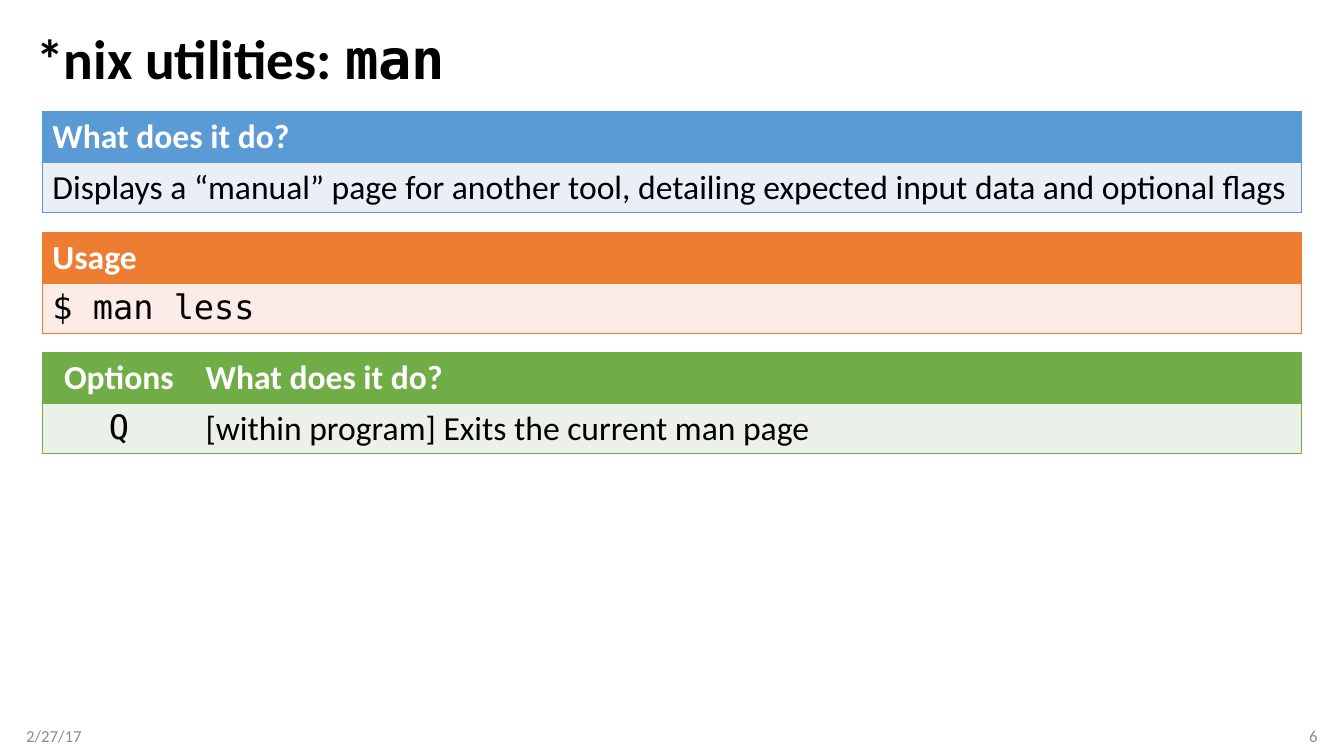
"""Build the slide that explains the man utility."""
from lxml.etree import SubElement
from pptx import Presentation
from pptx.dml.color import RGBColor
from pptx.enum.text import MSO_ANCHOR, MSO_AUTO_SIZE, PP_ALIGN
from pptx.oxml.ns import qn
from pptx.util import Pt

BLACK = RGBColor(0x00, 0x00, 0x00)
WHITE = RGBColor(0xFF, 0xFF, 0xFF)
GRAY = RGBColor(0x8C, 0x8C, 0x8C)
BLUE = RGBColor(0x5B, 0x9B, 0xD5)
PALE_BLUE = RGBColor(0xEA, 0xEF, 0xF7)
ORANGE = RGBColor(0xED, 0x7D, 0x31)
PALE_ORANGE = RGBColor(0xFC, 0xEC, 0xE8)
GREEN = RGBColor(0x70, 0xAD, 0x47)
PALE_GREEN = RGBColor(0xEB, 0xF1, 0xE9)

SANS = "Calibri"
MONO = "DejaVu Sans Mono"
SLIDE_WIDTH, SLIDE_HEIGHT = 960, 540
MARGIN = 18.72
TABLE_LEFT = 30.24
ROW_HEIGHT = 29.5


class SlideBuilder:
    def __init__(self, slide):
        self.slide = slide

    def add_run(self, paragraph, text, size, color, font=SANS, bold=False):
        run = paragraph.add_run()
        run.text = text
        run.font.name = font
        run.font.size = Pt(size)
        run.font.bold = bold
        run.font.color.rgb = color

    def add_title(self, parts):
        title = self.slide.shapes.title
        title.left, title.top = Pt(MARGIN), Pt(18)
        title.width, title.height = Pt(SLIDE_WIDTH - 2 * MARGIN), Pt(52)
        frame = title.text_frame
        frame.auto_size = MSO_AUTO_SIZE.NONE
        frame.vertical_anchor = MSO_ANCHOR.MIDDLE
        paragraph = frame.paragraphs[0]
        paragraph.alignment = PP_ALIGN.LEFT
        paragraph.line_spacing = 0.9
        for text, font in parts:
            self.add_run(paragraph, text, 39.6, BLACK, font, bold=True)

    def add_footer(self, text, left, alignment):
        shape = self.slide.shapes.add_textbox(Pt(left), Pt(511), Pt(216), Pt(29))
        frame = shape.text_frame
        frame.word_wrap = True
        frame.vertical_anchor = MSO_ANCHOR.MIDDLE
        frame.margin_left = Pt(0 if alignment == PP_ALIGN.LEFT else 7.2)
        frame.margin_right = Pt(0 if alignment == PP_ALIGN.RIGHT else 7.2)
        paragraph = frame.paragraphs[0]
        paragraph.alignment = alignment
        self.add_run(paragraph, text, 12, GRAY)

    def set_borders(self, cell, color, visible_edges):
        properties = cell._tc.get_or_add_tcPr()
        for position, edge in enumerate("LRTB"):
            line = SubElement(properties, qn(f"a:ln{edge}"), w=str(Pt(1)))
            if edge in visible_edges:
                fill = SubElement(line, qn("a:solidFill"))
                SubElement(fill, qn("a:srgbClr"), val=str(color))
            else:
                SubElement(line, qn("a:noFill"))
            properties.insert(position, line)

    def add_table(self, top, widths, headings, entries, color, pale_color):
        frame = self.slide.shapes.add_table(
            2, len(widths), Pt(TABLE_LEFT), Pt(top), Pt(sum(widths)), Pt(2 * ROW_HEIGHT))
        table = frame.table
        for column, width in zip(table.columns, widths):
            column.width = Pt(width)
        header_row = [(text, SANS) for text in headings]
        last = len(widths) - 1
        for row, contents in enumerate((header_row, entries)):
            is_header = row == 0
            table.rows[row].height = Pt(ROW_HEIGHT)
            for column, (text, font) in enumerate(contents):
                cell = table.cell(row, column)
                cell.fill.solid()
                cell.fill.fore_color.rgb = color if is_header else pale_color
                edges = "TB" + "L" * (column == 0) + "R" * (column == last)
                self.set_borders(cell, color, edges)
                paragraph = cell.text_frame.paragraphs[0]
                centered = column < last
                paragraph.alignment = PP_ALIGN.CENTER if centered else PP_ALIGN.LEFT
                text_color = WHITE if is_header else BLACK
                self.add_run(paragraph, text, 24, text_color, font, is_header)


presentation = Presentation()
presentation.slide_width = Pt(SLIDE_WIDTH)
presentation.slide_height = Pt(SLIDE_HEIGHT)
builder = SlideBuilder(presentation.slides.add_slide(presentation.slide_layouts[5]))

builder.add_title([("*nix utilities: ", SANS), ("man", MONO)])
builder.add_footer("2/27/17", MARGIN, PP_ALIGN.LEFT)
builder.add_footer("6", SLIDE_WIDTH - MARGIN - 216, PP_ALIGN.RIGHT)

purpose = ("Displays a “manual” page for another tool, "
           "detailing expected input data and optional flags")
builder.add_table(79.9, [899.3], ["What does it do?"], [(purpose, SANS)],
                  BLUE, PALE_BLUE)
builder.add_table(166.2, [899.3], ["Usage"], [("$ man less", MONO)],
                  ORANGE, PALE_ORANGE)
builder.add_table(252, [109.4, 789.9], ["Options", "What does it do?"],
                  [("Q", MONO), ("[within program] Exits the current man page", SANS)],
                  GREEN, PALE_GREEN)

presentation.save("out.pptx")
